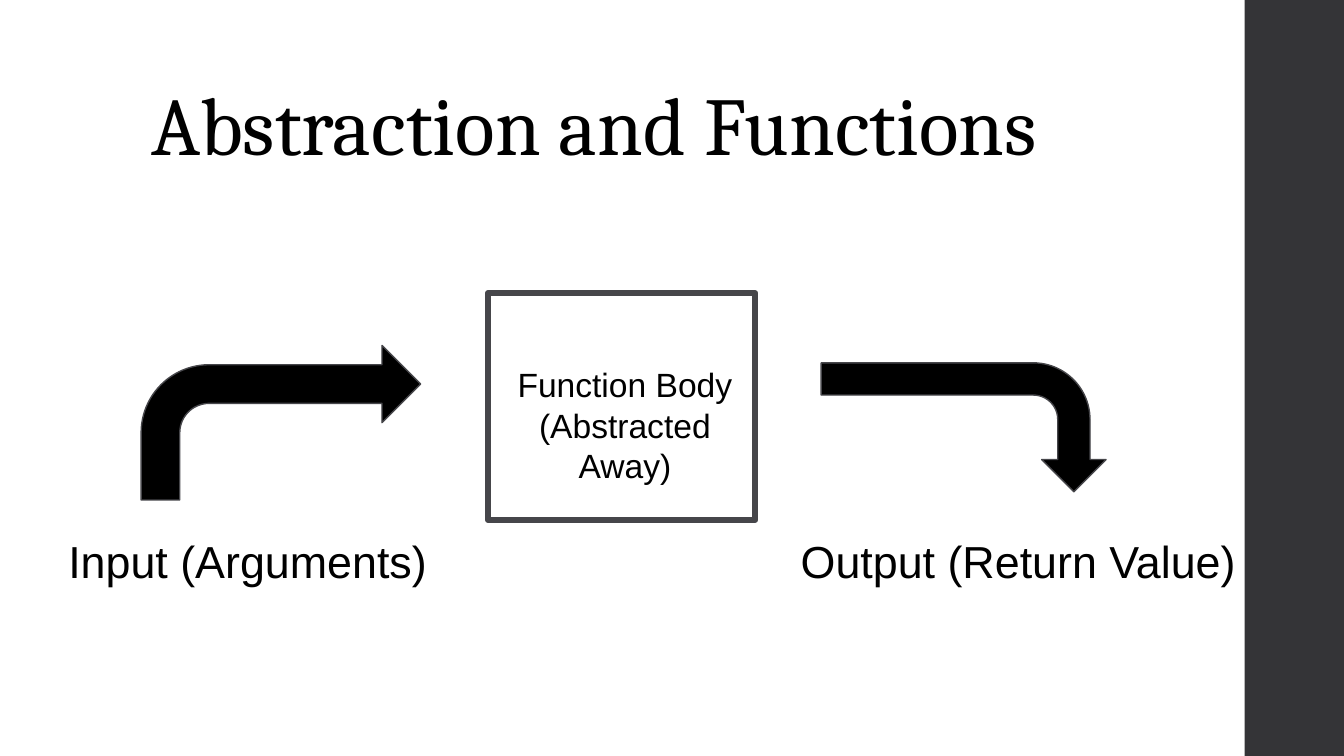
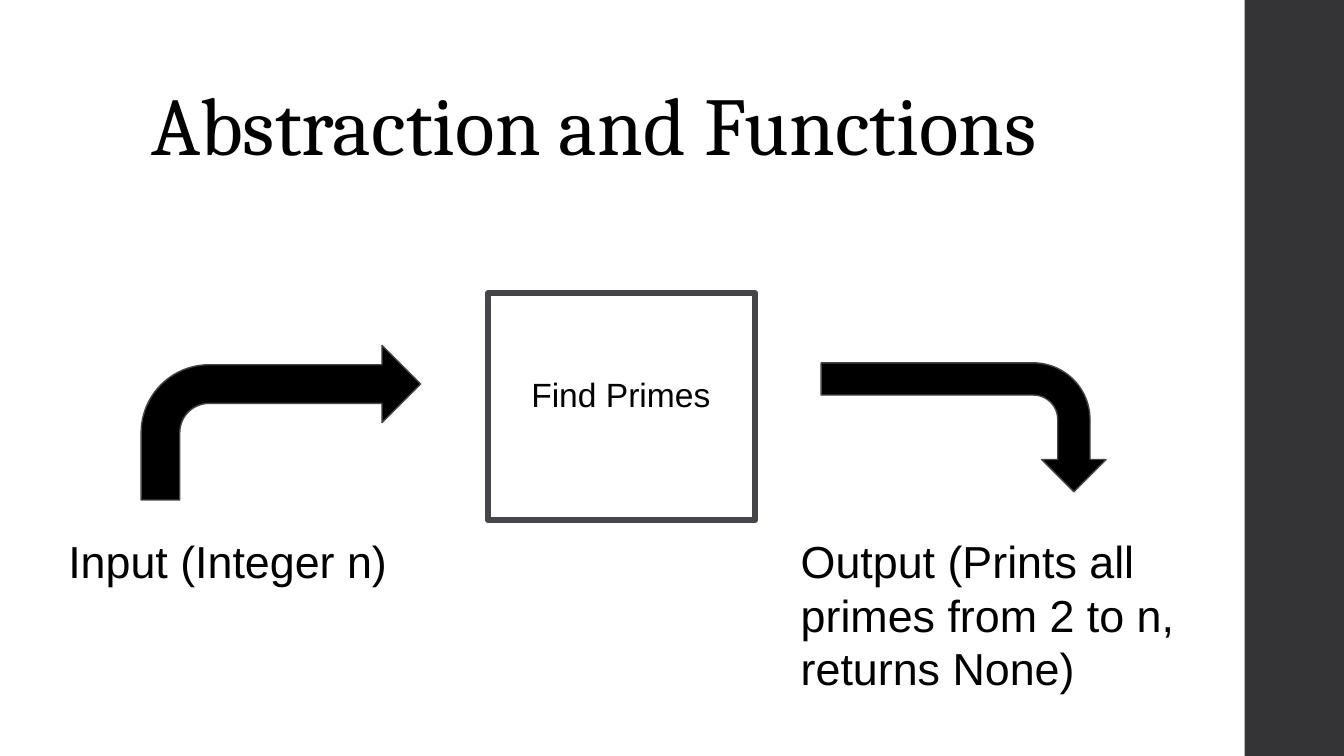
"""Build two slides that show a function as a box between its input and output."""
from dataclasses import dataclass

from pptx import Presentation
from pptx.dml.color import RGBColor as RGB
from pptx.enum.shapes import MSO_SHAPE as SHAPE
from pptx.enum.text import MSO_ANCHOR as ANCHOR, PP_ALIGN as ALIGN
from pptx.util import Inches, Pt

TITLE = "Abstraction and Functions"
SLIDES = [
    {
        "input": "Input (Arguments)",
        "body": ["Function Body", "(Abstracted Away)"],
        "body_at": (3.73, 2.61, 1.84, 0.92),
        "output": "Output (Return Value)",
    },
    {
        "input": "Input (Integer n)",
        "body": ["Find Primes"],
        "body_at": (3.7, 2.68, 1.84, 0.92),
        "output": "Output (Prints all primes from 2 to n, returns None)",
    },
]


@dataclass(frozen=True)
class Theme:
    ink: RGB = RGB(0, 0, 0)
    paper: RGB = RGB(255, 255, 255)
    band: RGB = RGB.from_string("343437")
    edge: RGB = RGB.from_string("46464A")
    title_font: str = "Cambria"
    text_font: str = "Arial"
    title_size: int = 44
    label_size: int = 24
    body_size: int = 18
    thin: float = 0.75
    thick: float = 3


T = Theme()
WIDTH = 10
HEIGHT = WIDTH * 9 / 16
BAND_AT = (9.26, 0, 0.75, HEIGHT)
TITLE_AT = (1.03, 0.3, 7.95, 1.09)
INPUT_AT = (0.41, 3.87, 2.99, 0.45)
OUTPUT_AT = (5.86, 3.87, 3.47, 0.45)
BOX_AT = (3.63, 2.18, 1.99, 1.69)
ARROWS = [((1.05, 2.57, 2.08, 1.15), 0), ((6.69, 2.12, 0.96, 2.12), 90)]
BENDS = (0.25, 0.25, 0.25, 0.44)


def set_all(target, values):
    for name, value in values.items():
        setattr(target, name, value)


def add_shape(s, kind, at, fill, line_width=0):
    sp = s.shapes.add_shape(kind, *map(Inches, at))
    sp.shadow.inherit = False
    sp.fill.solid()
    sp.fill.fore_color.rgb = fill
    if line_width:
        sp.line.color.rgb = T.edge
        sp.line.width = Pt(line_width)
    else:
        sp.line.fill.background()
    return sp


def add_text(s, at, lines, size, font=T.text_font, anchor=ANCHOR.TOP, **para):
    tf = s.shapes.add_textbox(*map(Inches, at)).text_frame
    margins = {f"margin_{side}": Inches(0.1) for side in ("left", "top", "right", "bottom")}
    set_all(tf, {"word_wrap": True, "vertical_anchor": anchor, **margins})
    for i, line in enumerate(lines):
        p = tf.add_paragraph() if i else tf.paragraphs[0]
        set_all(p, para)
        r = p.add_run()
        r.text = line
        set_all(r.font, {"name": font, "size": Pt(size)})
        r.font.color.rgb = T.ink


def add_arrow(s, at, rotation):
    sp = add_shape(s, SHAPE.BENT_ARROW, at, T.ink, T.thin)
    sp.rotation = rotation
    for i, bend in enumerate(BENDS):
        sp.adjustments[i] = bend


def add_slide(prs, content):
    s = prs.slides.add_slide(prs.slide_layouts[6])
    s.background.fill.solid()
    s.background.fill.fore_color.rgb = T.paper
    add_shape(s, SHAPE.RECTANGLE, BAND_AT, T.band)
    add_text(s, TITLE_AT, [TITLE], T.title_size, T.title_font, ANCHOR.BOTTOM, line_spacing=0.9)
    for at, rotation in ARROWS:
        add_arrow(s, at, rotation)
    add_shape(s, SHAPE.RECTANGLE, BOX_AT, T.paper, T.thick)
    add_text(s, content["body_at"], content["body"], T.body_size, alignment=ALIGN.CENTER)
    for at, key in ((INPUT_AT, "input"), (OUTPUT_AT, "output")):
        add_text(s, at, [content[key]], T.label_size)


def main():
    prs = Presentation()
    set_all(prs, {"slide_width": Inches(WIDTH), "slide_height": Inches(HEIGHT)})
    for content in SLIDES:
        add_slide(prs, content)
    prs.save("out.pptx")


if __name__ == "__main__":
    main()
